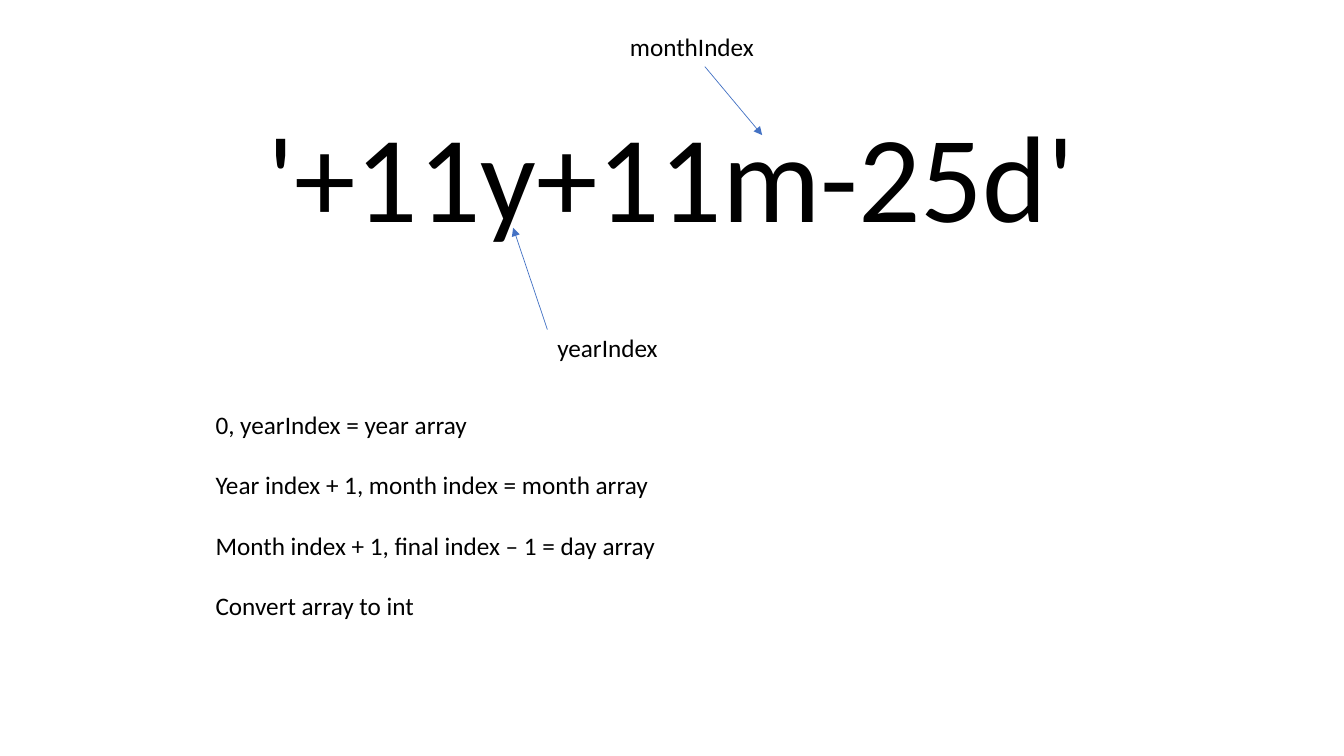
from lxml.etree import SubElement
from pptx import Presentation
from pptx.dml.color import RGBColor
from pptx.enum.shapes import MSO_CONNECTOR
from pptx.enum.text import PP_ALIGN
from pptx.oxml.ns import qn
from pptx.util import Inches, Pt

WIDTH, HEIGHT = Inches(13.33), Inches(7.5)
COLORS = {"text": "000000", "arrow": "4472C4"}
FONT = "Calibri"
LABEL_SIZE = (14.93, 5.33)
STEPS = [
    "0, yearIndex = year array",
    "Year index + 1, month index = month array",
    "Month index + 1, final index – 1 = day array",
    "Convert array to int",
]


def across(percent):
    return round(WIDTH * percent / 100)


def down(percent):
    return round(HEIGHT * percent / 100)


def add_text(slide, left, top, width, height, lines, size=18,
             align=PP_ALIGN.LEFT, gap=0):
    """Place lines of text; positions are percentages of the slide."""
    box = slide.shapes.add_textbox(across(left), down(top), across(width), down(height))
    frame = box.text_frame
    frame.word_wrap = True
    for index, line in enumerate(lines):
        paragraph = frame.paragraphs[0] if index == 0 else frame.add_paragraph()
        paragraph.alignment = align
        paragraph.space_before = Pt(gap if index else 0)
        run = paragraph.add_run()
        run.text = line
        run.font.name = FONT
        run.font.size = Pt(size)
        run.font.color.rgb = RGBColor.from_string(COLORS["text"])


def add_arrow(slide, start, end):
    """Draw a thin arrow between two points given in percentages."""
    arrow = slide.shapes.add_connector(
        MSO_CONNECTOR.STRAIGHT,
        across(start[0]), down(start[1]), across(end[0]), down(end[1]))
    arrow.line.color.rgb = RGBColor.from_string(COLORS["arrow"])
    arrow.line.width = Pt(0.5)
    properties = arrow.element.spPr
    SubElement(properties.find(qn("a:ln")), qn("a:tailEnd"), type="triangle")
    SubElement(properties, qn("a:effectLst"))


def main():
    presentation = Presentation()
    presentation.slide_width, presentation.slide_height = WIDTH, HEIGHT
    slide = presentation.slides.add_slide(presentation.slide_layouts[6])

    # Date offset expression
    add_text(slide, 17.25, 12.53, 65.42, 21.07, ["'+11y+11m-25d'"],
             size=88, align=PP_ALIGN.CENTER)

    # Index labels and their arrows
    add_arrow(slide, (40.73, 43.6), (38.18, 30.13))
    add_text(slide, 40.73, 43.33, *LABEL_SIZE, ["yearIndex"])
    add_text(slide, 46.13, 3.47, *LABEL_SIZE, ["monthIndex"])
    add_arrow(slide, (52.44, 8.8), (56.71, 17.87))

    # Parsing steps
    add_text(slide, 15.3, 53.47, 55.66, 29.6, STEPS, gap=21.5)

    presentation.save("out.pptx")


main()
